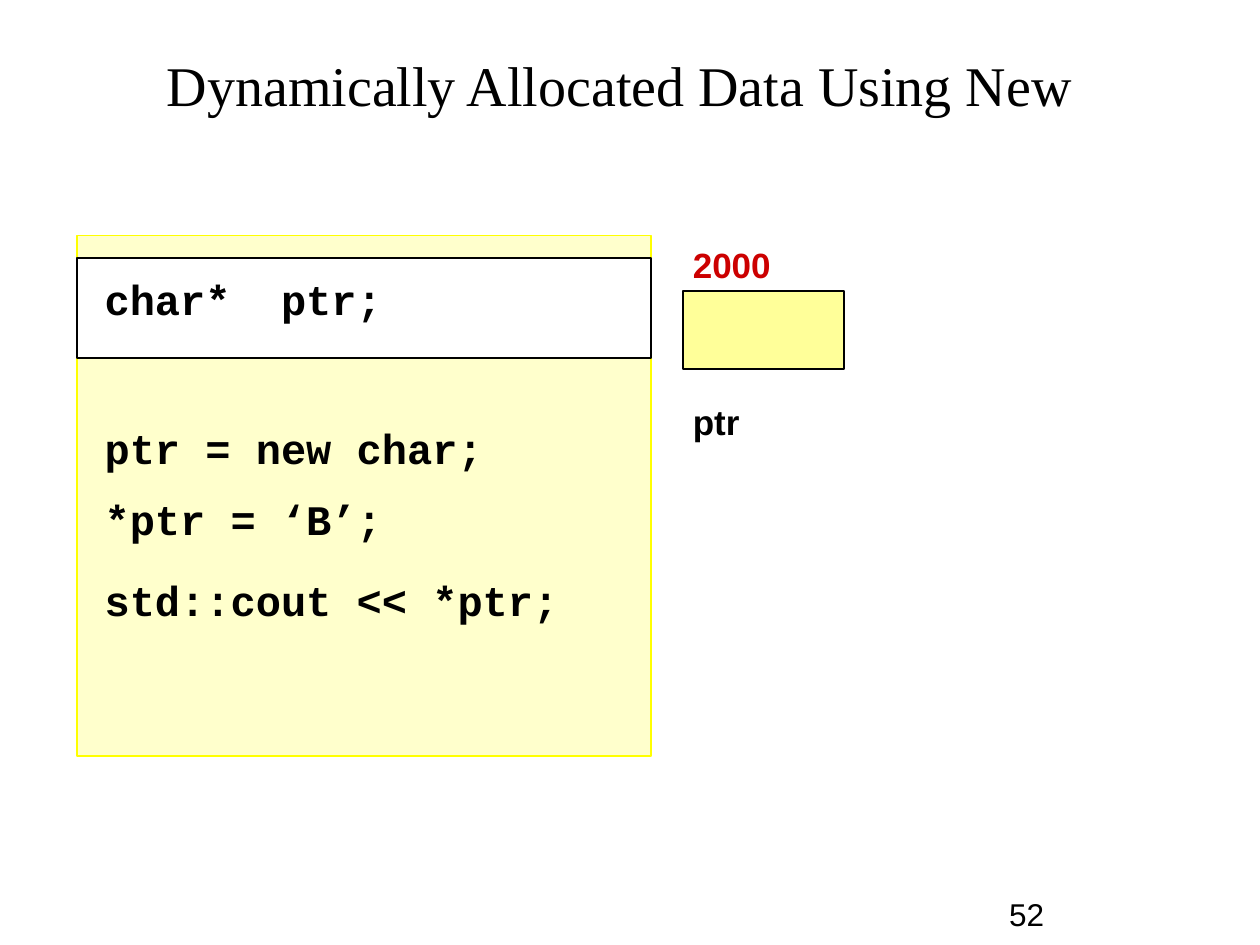
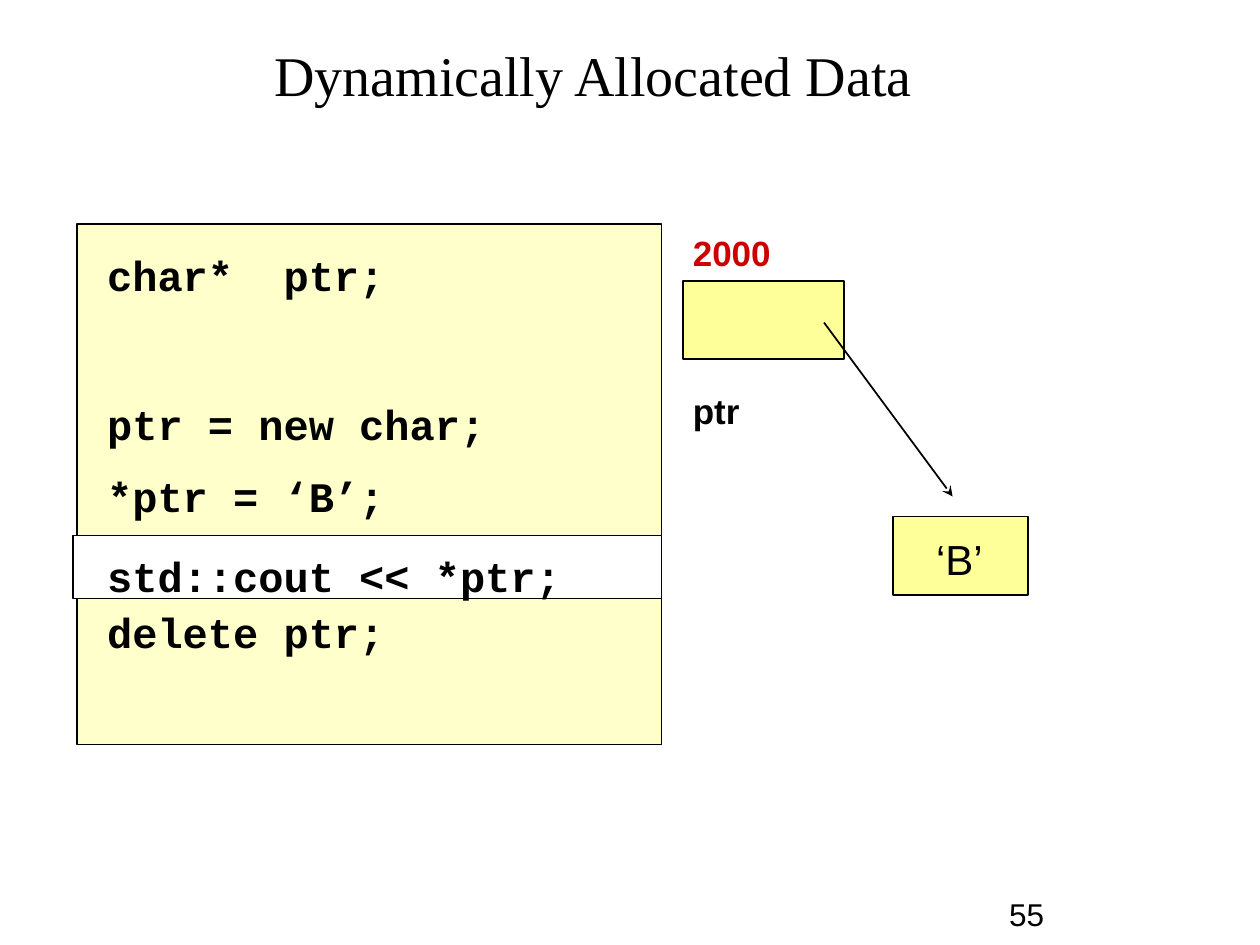
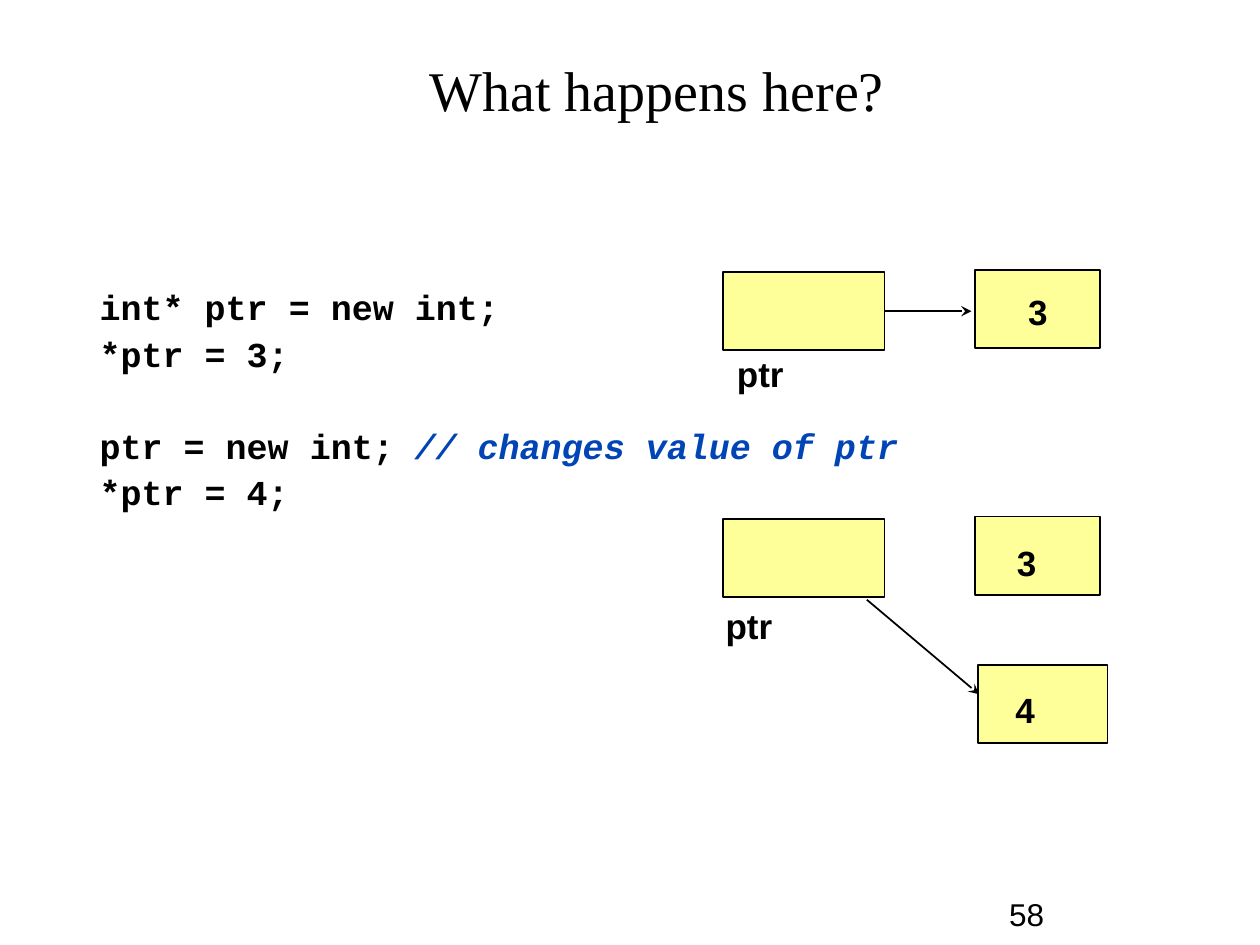
from lxml.etree import SubElement
from pptx import Presentation
from pptx.dml.color import RGBColor
from pptx.enum.shapes import MSO_CONNECTOR, MSO_SHAPE
from pptx.enum.text import MSO_ANCHOR, MSO_AUTO_SIZE, PP_ALIGN
from pptx.oxml.ns import qn
from pptx.util import Inches, Pt

BLACK, RED, BLUE, WHITE = "000000", "CC0000", "0044B5", "FFFFFF"
PALE, CELL, YELLOW = "FFFFCC", "FFFF99", "FFFF00"
SANS, SERIF, MONO = "Arial", "Times New Roman", "Courier New"
CELL_H = 0.62
PTR_W = 1.28


def write(p, text, font, size, color=BLACK, bold=False, italic=False):
    r = p.add_run()
    r.text = text
    r.font.name, r.font.size = font, Pt(size)
    r.font.bold, r.font.italic = bold, italic
    r.font.color.rgb = RGBColor.from_string(color)


def add_box(s, x, y, w, h, fill, line=BLACK):
    sp = s.shapes.add_shape(MSO_SHAPE.RECTANGLE, Inches(x), Inches(y), Inches(w), Inches(h))
    sp.shadow.inherit = False
    sp.fill.solid()
    sp.fill.fore_color.rgb = RGBColor.from_string(fill)
    sp.line.color.rgb = RGBColor.from_string(line)
    sp.line.width = Pt(1)
    return sp


new_char = [
    (0, "char*  ptr;", ""),
    (59, "ptr = new char;", ""),
    (15, "*ptr = ‘B’;", ""),
    (20, "std::cout << *ptr;", ""),
]
new_int = [
    (0, "int* ptr = new int;", ""),
    (5, "*ptr = 3;", ""),
    (31, "ptr = new int;", "// changes value of ptr"),
    (5, "*ptr = 4;", ""),
]
address_label = [("2000", RED, 0), ("ptr", BLACK, 66)]
ptr_label = [("ptr", BLACK, 0)]

slides = [
    dict(
        number="52",
        title=("Dynamically Allocated Data Using New", 0.67, 0.25, 8.5, 0.83),
        panels=[(0.61, 1.87, 4.56, 4.13, PALE, YELLOW), (0.61, 2.05, 4.56, 0.79, WHITE, BLACK)],
        code=(new_char, 24, 26, 0.73, 2.16, 8.6, 4.28),
        pointers=[(5.42, 2.31)],
        values=[],
        arrows=[],
        labels=[(address_label, 5.4, 1.88, 2.34)],
    ),
    dict(
        number="55",
        title=("Dynamically Allocated Data", 0.67, 0.17, 8.08, 0.83),
        panels=[(0.61, 1.78, 4.64, 4.13, PALE, BLACK), (0.58, 4.25, 4.67, 0.5, WHITE, BLACK)],
        code=(new_char + [(6, "delete ptr;", "")], 24, 26, 0.75, 1.97, 8.6, 4.94),
        pointers=[(5.42, 2.23)],
        values=[("‘B’", 7.09, 4.1, 1.07, 0.34, 0.1, 24, False)],
        arrows=[(6.54, 2.56, 7.56, 3.94, None)],
        labels=[(address_label, 5.4, 1.79, 2.34)],
    ),
    dict(
        number="58",
        title=("What happens here?", 1.5, 0.42, 7.43, 0.58),
        panels=[],
        code=(new_int, 20, 21.6, 0.69, 2.25, 8.8, 4.5),
        pointers=[(5.74, 2.16), (5.74, 4.12)],
        values=[
            ("3", 7.74, 2.14, 0.99, 0.42, 0.1, 20, True),
            ("3", 7.74, 4.1, 0.99, 0.33, 0.15, 20, True),
            ("4", 7.76, 5.28, 1.03, 0.3, 0.13, 20, True),
        ],
        arrows=[(7.02, 2.47, 7.71, 2.47, 0), (6.88, 4.76, 7.77, 5.51, None)],
        labels=[(ptr_label, 5.75, 2.75, 0.42), (ptr_label, 5.66, 4.75, 0.42)],
    ),
]

prs = Presentation()
prs.slide_width, prs.slide_height = Inches(10), Inches(7.5)

for d in slides:
    s = prs.slides.add_slide(prs.slide_layouts[1])
    title, body = s.shapes.title, s.placeholders[1]

    text, x, y, w, h = d["title"]
    title.left, title.top, title.width, title.height = Inches(x), Inches(y), Inches(w), Inches(h)
    tf = title.text_frame
    tf.auto_size = MSO_AUTO_SIZE.NONE
    tf.vertical_anchor = MSO_ANCHOR.MIDDLE
    tf.paragraphs[0].alignment = PP_ALIGN.CENTER
    write(tf.paragraphs[0], text, SERIF, 32)

    for panel in d["panels"]:
        add_box(s, *panel)

    lines, size, pitch, x, y, w, h = d["code"]
    body.left, body.top, body.width, body.height = Inches(x), Inches(y), Inches(w), Inches(h)
    body.element.getparent().append(body.element)
    tf = body.text_frame
    tf.auto_size = MSO_AUTO_SIZE.NONE
    tf.vertical_anchor = MSO_ANCHOR.TOP
    for i, (gap, code, comment) in enumerate(lines):
        p = tf.add_paragraph() if i else tf.paragraphs[0]
        pPr = p._p.get_or_add_pPr()
        pPr.set("marL", "0")
        pPr.set("indent", "0")
        SubElement(pPr, qn("a:buNone"))
        if comment:
            tabs = SubElement(pPr, qn("a:tabLst"))
            SubElement(tabs, qn("a:tab"), pos=str(Inches(3)), algn="l")
        p.line_spacing = Pt(pitch)
        p.space_before = Pt(gap)
        write(p, code + ("\t" if comment else ""), MONO, size, bold=True)
        if comment:
            write(p, comment, MONO, size, BLUE, True, True)

    pointers = [add_box(s, x, y, PTR_W, CELL_H, CELL) for x, y in d["pointers"]]

    for text, x, y, w, inset, top, size, bold in d["values"]:
        tf = add_box(s, x, y, w, CELL_H, CELL).text_frame
        tf.margin_left, tf.margin_right = Inches(inset), 0
        tf.margin_top, tf.margin_bottom = Inches(top), Inches(0.05)
        tf.vertical_anchor = MSO_ANCHOR.MIDDLE
        tf.paragraphs[0].alignment = PP_ALIGN.LEFT
        write(tf.paragraphs[0], text, SANS, size, bold=bold)

    for x1, y1, x2, y2, source in d["arrows"]:
        arrow = s.shapes.add_connector(
            MSO_CONNECTOR.STRAIGHT, Inches(x1), Inches(y1), Inches(x2), Inches(y2))
        if source is not None:
            arrow.begin_connect(pointers[source], 3)
        arrow.line.color.rgb = RGBColor.from_string(BLACK)
        arrow.line.width = Pt(1)
        SubElement(arrow.line._get_or_add_ln(), qn("a:tailEnd"), type="stealth")
        SubElement(arrow._element.spPr, qn("a:effectLst"))

    for paragraphs, x, y, h in d["labels"]:
        tf = s.shapes.add_textbox(Inches(x), Inches(y), Inches(3.75), Inches(h)).text_frame
        tf.word_wrap = True
        for i, (text, color, gap) in enumerate(paragraphs):
            p = tf.add_paragraph() if i else tf.paragraphs[0]
            p.space_before = Pt(gap)
            write(p, text, SANS, 20, color, True)

    tf = s.shapes.add_textbox(Inches(7.91), Inches(7), Inches(2.08), Inches(0.5)).text_frame
    tf.word_wrap = True
    tf.vertical_anchor = MSO_ANCHOR.MIDDLE
    write(tf.paragraphs[0], d["number"], SANS, 18)

prs.save("out.pptx")
